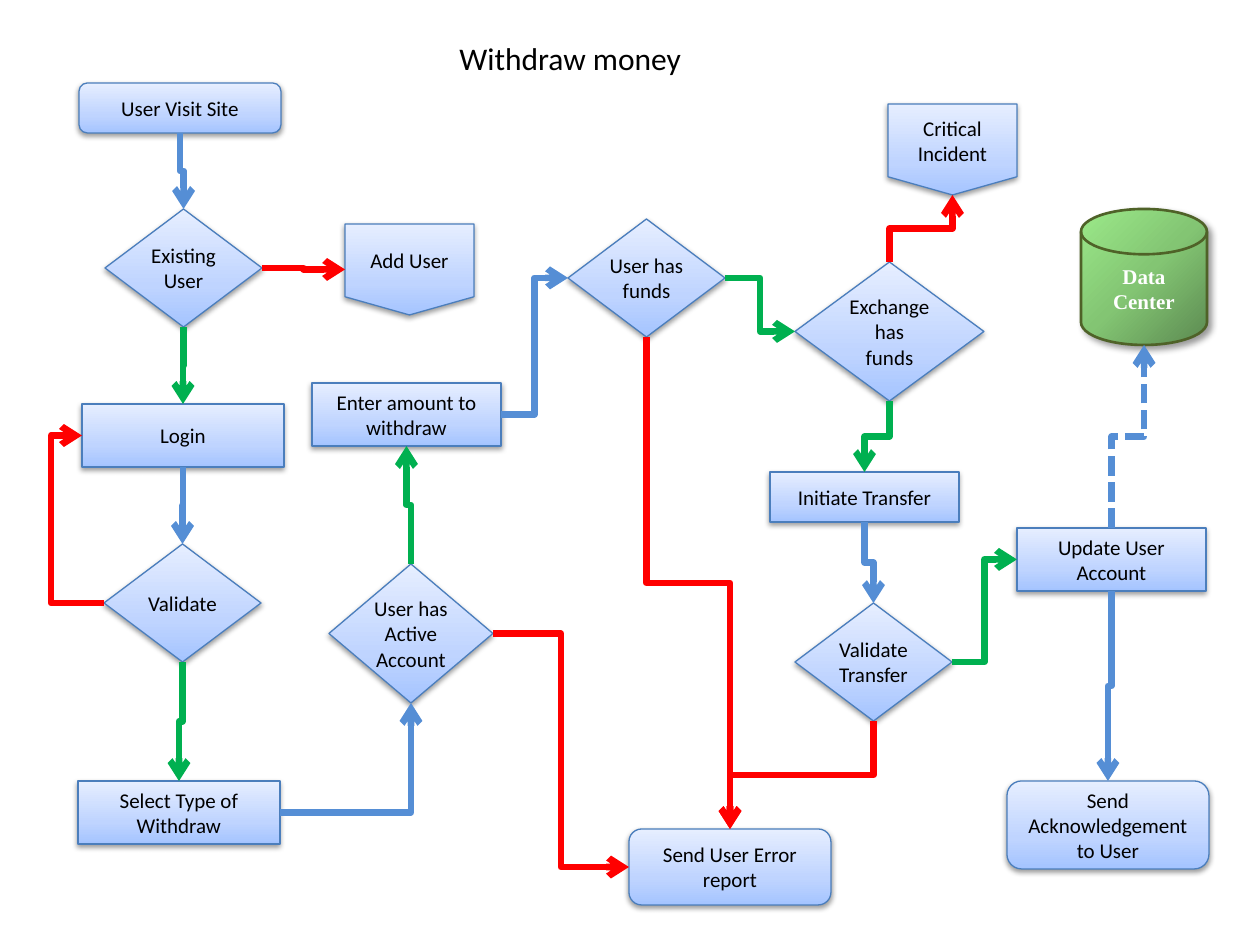
from dataclasses import dataclass

from lxml.etree import SubElement
from pptx import Presentation
from pptx.dml.color import RGBColor
from pptx.enum.dml import MSO_LINE
from pptx.enum.shapes import MSO_CONNECTOR as CONN, MSO_SHAPE as SHAPE
from pptx.enum.text import MSO_ANCHOR, MSO_AUTO_SIZE, PP_ALIGN
from pptx.oxml.ns import qn
from pptx.util import Pt

EMU_PER_PX = 914400 / 126


@dataclass(frozen=True)
class NodeStyle:
    stops: tuple
    angle: int
    line: str
    line_width: float
    shadow: tuple  # alpha %, blur pt, distance pt, angle
    font: str
    text: str
    bold: bool = False


@dataclass(frozen=True)
class Theme:
    step: NodeStyle = NodeStyle(((0, "A4C4FF"), (35, "BFD4FF"), (100, "E6EEFF")), 270,
                                "4B7EBC", 0.75, (38, 3.1, 1.6, 90), "Calibri", "000000")
    store: NodeStyle = NodeStyle(((0, "5C8A51"), (50, "83C573"), (100, "9BE989")), 225,
                                 "4F6228", 1.5, (40, 4, 3, 45), "Times New Roman",
                                 "FFFFFF", True)
    next: str = "558ED5"
    yes: str = "00B050"
    no: str = "FF0000"
    link_width: float = 3.75
    title_size: int = 18
    node_size: int = 12


THEME = Theme()
TERMINAL = SHAPE.FLOWCHART_ALTERNATE_PROCESS
PROCESS = SHAPE.FLOWCHART_PROCESS
DECISION = SHAPE.FLOWCHART_DECISION
OFFPAGE = SHAPE.FLOWCHART_OFFPAGE_CONNECTOR
STORE = SHAPE.FLOWCHART_MAGNETIC_DISK

# Each lane: its left and top, then name: (shape, text, box inside the lane)
LANES = [
    ((78, 83), {
        "visit": (TERMINAL, "User Visit Site", (1, 0, 202, 50)),
        "existing": (DECISION, "Existing User", (27, 126, 157, 118)),
        "login": (PROCESS, "Login", (4, 321, 202, 63)),
        "validate": (DECISION, "Validate", (26, 461, 157, 118)),
        "select": (PROCESS, "Select Type of Withdraw", (0, 698, 202, 63)),
    }),
    ((312, 224), {
        "add_user": (OFFPAGE, "Add User", (33, 0, 129, 91)),
        "amount": (PROCESS, "Enter amount to withdraw", (0, 159, 189, 63)),
        "active": (DECISION, "User has Active Account", (17, 340, 164, 139)),
    }),
    ((568, 104), {
        "critical": (OFFPAGE, "Critical Incident", (320, 0, 129, 91)),
        "user_funds": (DECISION, "User has\nfunds", (0, 115, 157, 118)),
        "exchange": (DECISION, "Exchange has\nfunds", (227, 158, 189, 139)),
        "initiate": (PROCESS, "Initiate Transfer", (202, 368, 189, 50)),
        "transfer": (DECISION, "Validate\nTransfer", (227, 499, 157, 118)),
        "error": (TERMINAL, "Send User Error\nreport", (61, 725, 202, 76)),
    }),
    ((1007, 209), {
        "data": (STORE, "Data\nCenter", (74, 0, 126, 136)),
        "update": (PROCESS, "Update User Account", (10, 319, 189, 63)),
        "ack": (TERMINAL, "Send Acknowledgement\nto User", (0, 572, 202, 88)),
    }),
]

# from, side, to, side, colour, options
LINKS = [
    ("visit", "bottom", "existing", "top", THEME.next, {}),
    ("existing", "right", "add_user", "left", THEME.no, {}),
    ("existing", "bottom", "login", "top", THEME.yes, {}),
    ("login", "bottom", "validate", "top", THEME.next, {}),
    ("validate", "left", "login", "left", THEME.no, {"reach": 53}),
    ("validate", "bottom", "select", "top", THEME.yes, {}),
    ("select", "right", "active", "bottom", THEME.next, {}),
    ("active", "top", "amount", "bottom", THEME.yes, {}),
    ("active", "right", "error", "left", THEME.no, {}),
    ("amount", "right", "user_funds", "left", THEME.next, {}),
    ("user_funds", "right", "exchange", "left", THEME.yes, {}),
    ("user_funds", "bottom", "error", "top", THEME.no, {}),
    ("exchange", "top", "critical", "bottom", THEME.no, {}),
    ("exchange", "bottom", "initiate", "top", THEME.yes, {}),
    ("initiate", "bottom", "transfer", "top", THEME.next, {}),
    ("transfer", "right", "update", "left", THEME.yes, {}),
    ("transfer", "bottom", "error", "top", THEME.no, {}),
    ("update", "top", "data", "bottom", THEME.next, {"dashed": True}),
    ("update", "bottom", "ack", "top", THEME.next, {}),
]


def px(*values):
    return [round(v * EMU_PER_PX) for v in values]


def rgb(code):
    return RGBColor.from_string(code)


def add_color(parent, code):
    return SubElement(parent, qn("a:srgbClr"), val=code)


def set_gradient(sp, stops, angle):
    sp.fill.gradient()
    grad = sp.element.spPr.find(qn("a:gradFill"))
    stop_list = grad.find(qn("a:gsLst"))
    for old in list(stop_list):
        stop_list.remove(old)
    for pos, code in stops:
        add_color(SubElement(stop_list, qn("a:gs"), pos=str(pos * 1000)), code)
    grad.find(qn("a:lin")).set("ang", str(angle * 60000))


def set_shadow(sp, alpha, blur, dist, angle):
    sp.shadow.inherit = False
    shadow = SubElement(sp.element.spPr.find(qn("a:effectLst")), qn("a:outerShdw"),
                        blurRad=str(Pt(blur)), dist=str(Pt(dist)),
                        dir=str(angle * 60000), rotWithShape="0")
    SubElement(add_color(shadow, "000000"), qn("a:alpha"), val=str(alpha * 1000))


def draw_title(slide, box):
    tf = slide.shapes.add_textbox(*px(*box)).text_frame
    tf.word_wrap, tf.auto_size = False, MSO_AUTO_SIZE.SHAPE_TO_FIT_TEXT
    p = tf.paragraphs[0]
    p.text = "Withdraw money"
    p.font.size, p.font.name = Pt(THEME.title_size), "Calibri"
    p.font.color.rgb = rgb("000000")


def draw_node(slide, kind, text, box):
    style = THEME.store if kind == STORE else THEME.step
    sp = slide.shapes.add_shape(kind, *px(*box))
    set_gradient(sp, style.stops, style.angle)
    sp.line.color.rgb, sp.line.width = rgb(style.line), Pt(style.line_width)
    set_shadow(sp, *style.shadow)
    tf = sp.text_frame
    tf.word_wrap, tf.vertical_anchor = True, MSO_ANCHOR.MIDDLE
    if kind == DECISION:
        tf.margin_left = tf.margin_right = tf.margin_top = tf.margin_bottom = 0
    tf.text = text
    for p in tf.paragraphs:
        p.alignment = PP_ALIGN.CENTER
        p.font.size, p.font.name, p.font.bold = Pt(THEME.node_size), style.font, style.bold
        p.font.color.rgb = rgb(style.text)


def draw_lane(slide, origin, nodes):
    """Draw one lane's nodes and return their boxes on the slide by name."""
    boxes = {}
    for name, (kind, text, (x, y, w, h)) in nodes.items():
        boxes[name] = (origin[0] + x, origin[1] + y, w, h)
        draw_node(slide, kind, text, boxes[name])
    return boxes


def side_point(box, side):
    x, y, w, h = box
    return {"left": (x, y + h / 2), "right": (x + w, y + h / 2),
            "top": (x + w / 2, y), "bottom": (x + w / 2, y + h)}[side]


def draw_link(slide, start, start_side, end, end_side, color, reach=None, dashed=False):
    """Join two box sides; reach is how far the bend lies from the start."""
    (x1, y1), (x2, y2) = side_point(start, start_side), side_point(end, end_side)
    upright = [side in ("top", "bottom") for side in (start_side, end_side)]
    ends = (x1, y1, x2, y2)
    if upright[0]:  # laid out sideways about its centre, then turned a quarter
        cx, cy, dx, dy = (x1 + x2) / 2, (y1 + y2) / 2, (x2 - x1) / 2, (y2 - y1) / 2
        ends = (cx - dy, cy + dx, cx + dy, cy - dx)
    s = slide.shapes.add_connector(CONN.ELBOW, *px(*ends))
    s.rotation = 90 if upright[0] else 0
    geom = s.element.spPr.find(qn("a:prstGeom"))
    if upright[0] != upright[1]:
        geom.set("prst", "bentConnector2")
    if reach:
        SubElement(geom.find(qn("a:avLst")), qn("a:gd"), name="adj1",
                   fmla=f"val {round(reach / abs(x2 - x1) * 100000)}")
    s.line.color.rgb, s.line.width = rgb(color), Pt(THEME.link_width)
    if dashed:
        s.line.dash_style = MSO_LINE.SQUARE_DOT
    SubElement(s.get_or_add_ln(), qn("a:tailEnd"), type="arrow")
    SubElement(s.element.spPr, qn("a:effectLst"))


def main():
    prs = Presentation()
    prs.slide_width, prs.slide_height = px(1260, 945)
    slide = prs.slides.add_slide(prs.slide_layouts[6])
    draw_title(slide, (447, 33, 249, 50))
    boxes = {}
    for origin, nodes in LANES:
        boxes.update(draw_lane(slide, origin, nodes))
    for start, start_side, end, end_side, color, options in LINKS:
        draw_link(slide, boxes[start], start_side, boxes[end], end_side, color, **options)
    prs.save("out.pptx")


if __name__ == "__main__":
    main()
